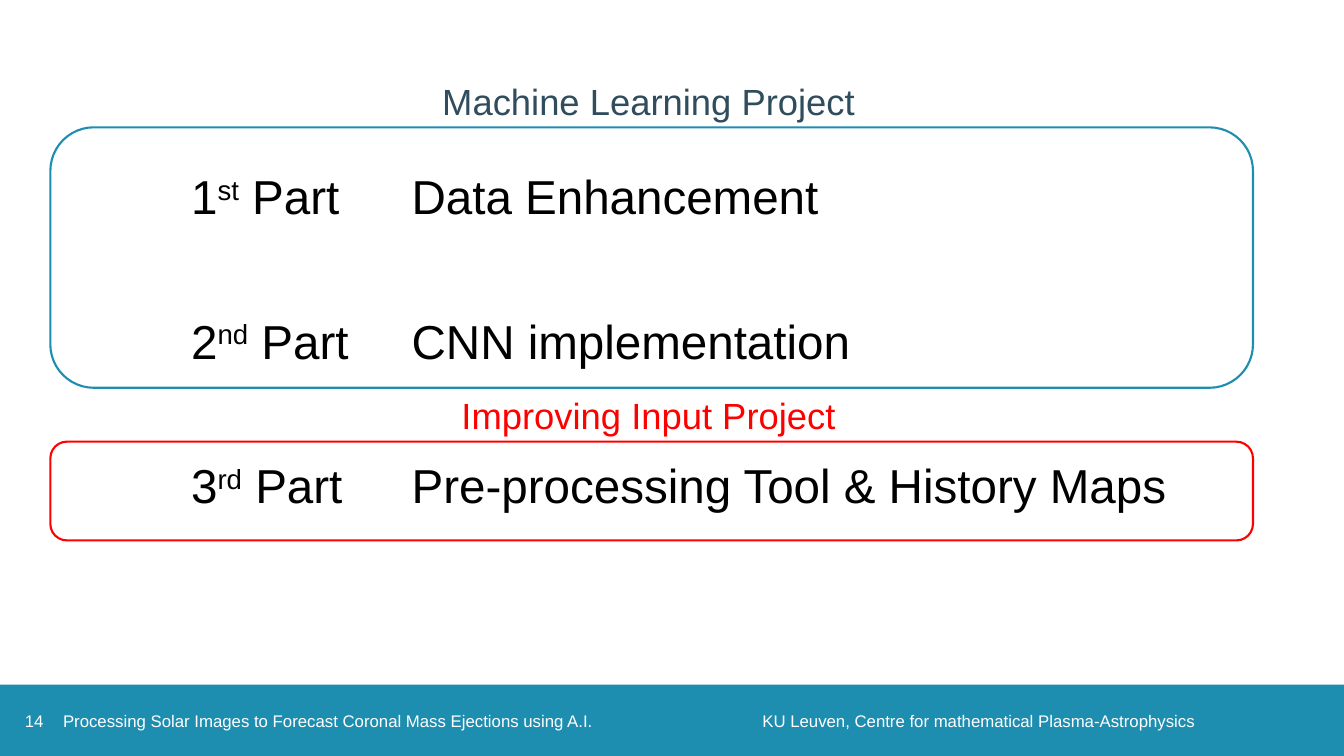
from pptx import Presentation
from pptx.dml.color import RGBColor
from pptx.enum.shapes import MSO_SHAPE
from pptx.enum.text import MSO_ANCHOR, PP_ALIGN
from pptx.util import Pt

RECT, ROUNDED = MSO_SHAPE.RECTANGLE, MSO_SHAPE.ROUNDED_RECTANGLE
MIDDLE = MSO_ANCHOR.MIDDLE
LEFT, CENTER, RIGHT = PP_ALIGN.LEFT, PP_ALIGN.CENTER, PP_ALIGN.RIGHT

WHITE = RGBColor(0xFF, 0xFF, 0xFF)
BLACK = RGBColor(0, 0, 0)
TEAL = RGBColor(0x1D, 0x8D, 0xB0)
SLATE = RGBColor(0x2F, 0x4D, 0x5D)
RED = RGBColor(0xFF, 0, 0)

WIDTH, HEIGHT = 960, 540
FOOTER_HEIGHT = 51
PARTS = [
    ("1", "st", "Data Enhancement"),
    ("2", "nd", "CNN implementation"),
    ("3", "rd", "Pre-processing Tool & History Maps"),
]


def add_text(slide, x, y, w, h, lines, size, color, align=LEFT, inset=0, gap=0):
    """Add a middle-anchored box; each line is a list of (text, is_superscript)."""
    sp = slide.shapes.add_textbox(Pt(x), Pt(y), Pt(w), Pt(h))
    tf = sp.text_frame
    tf.word_wrap = True
    tf.vertical_anchor = MIDDLE
    tf.margin_left = tf.margin_right = Pt(inset)
    tf.margin_top = tf.margin_bottom = 0
    for i, line in enumerate(lines):
        p = tf.add_paragraph() if i else tf.paragraphs[0]
        p.alignment = align
        if i:
            p.space_before = Pt(gap)
        p.font.name, p.font.size = "Arial", Pt(size)
        p.font.color.rgb = color
        for text, raised in line:
            r = p.add_run()
            r.text = text
            if raised:
                r._r.get_or_add_rPr().set("baseline", "30000")


def add_project(slide, x, y, w, h, title, title_color, line_color):
    """Outline a group of parts, with its title centred just above."""
    sp = slide.shapes.add_shape(ROUNDED, Pt(x), Pt(y), Pt(w), Pt(h))
    sp.shadow.inherit = False
    sp.fill.background()
    sp.line.color.rgb = line_color
    sp.line.width = Pt(1.5)
    title_height = 38
    add_text(slide, x, y - title_height, w - 4, title_height,
             [[(title, False)]], 26, title_color, CENTER)


def add_parts(slide, x, y, w, h):
    """List the part numbers beside their subjects."""
    number_width = 157.5
    numbers = [[(n, False), (suffix, True), (" Part", False)]
               for n, suffix, _ in PARTS]
    subjects = [[(subject, False)] for _, _, subject in PARTS]
    for left, width, lines in ((x, number_width, numbers),
                               (x + number_width, w - number_width, subjects)):
        add_text(slide, left, y, width, h, lines, 34, BLACK, inset=7.2, gap=62.3)


def add_footer(slide, x, y, w, h):
    sp = slide.shapes.add_shape(RECT, Pt(x), Pt(y), Pt(w), Pt(h))
    sp.shadow.inherit = False
    sp.fill.solid()
    sp.fill.fore_color.rgb = TEAL
    sp.line.fill.background()
    for left, width, text, align in (
        (6.5, 36, "14", CENTER),
        (45, 430, "Processing Solar Images to Forecast Coronal Mass Ejections using A.I.", LEFT),
        (475, 379, "KU Leuven, Centre for mathematical Plasma-Astrophysics", RIGHT),
    ):
        add_text(slide, x + left, y, width, h, [[(text, False)]], 12, WHITE, align)


def main():
    prs = Presentation()
    prs.slide_width, prs.slide_height = Pt(WIDTH), Pt(HEIGHT)
    slide = prs.slides.add_slide(prs.slide_layouts[6])
    add_footer(slide, 0, HEIGHT - FOOTER_HEIGHT, WIDTH, FOOTER_HEIGHT)
    add_parts(slide, 129.5, 0, 719, 486)
    add_project(slide, 36, 91, 859, 186, "Machine Learning Project", SLATE, TEAL)
    add_project(slide, 36, 315.5, 859, 70.5, "Improving Input Project", RED, RED)
    prs.save("out.pptx")


if __name__ == "__main__":
    main()
